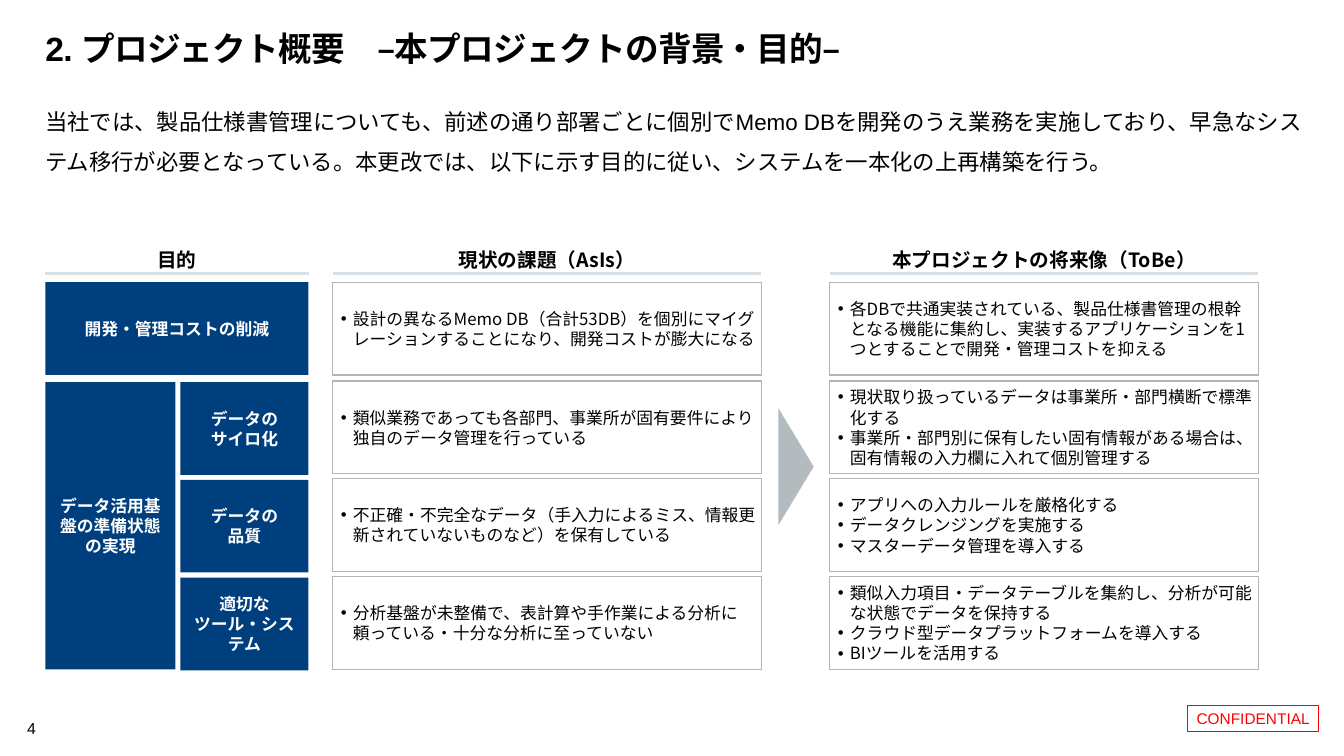
from lxml import etree
from pptx import Presentation
from pptx.dml.color import RGBColor
from pptx.enum.shapes import MSO_CONNECTOR, MSO_SHAPE
from pptx.enum.text import MSO_ANCHOR, MSO_AUTO_SIZE, PP_ALIGN
from pptx.oxml.ns import qn
from pptx.util import Inches, Pt

RECT, ARROW = MSO_SHAPE.RECTANGLE, MSO_SHAPE.RIGHT_ARROW
LINE = MSO_CONNECTOR.STRAIGHT
TOP, MIDDLE, BOTTOM = MSO_ANCHOR.TOP, MSO_ANCHOR.MIDDLE, MSO_ANCHOR.BOTTOM
LEFT, CENTER = PP_ALIGN.LEFT, PP_ALIGN.CENTER
GROW, FIXED = MSO_AUTO_SIZE.SHAPE_TO_FIT_TEXT, MSO_AUTO_SIZE.NONE
NOTO = "Noto Sans CJK JP"
NAVY, PALE, GRAY, EDGE = "003F7E", "D6E0E5", "B3BBBF", "B4B4B4"
BLACK, WHITE, RED = "000000", "FFFFFF", "FF0000"

ROW, STEP, TALL = 3.78, 0.97, 0.92
GOALS = [["データの", "サイロ化"], ["データの", "品質"], ["適切な", "ツール・システム"]]
ASIS = [
    ["設計の異なるMemo DB（合計53DB）を個別にマイグレーションすることになり、開発コストが膨大になる"],
    ["類似業務であっても各部門、事業所が固有要件により独自のデータ管理を行っている"],
    ["不正確・不完全なデータ（手入力によるミス、情報更新されていないものなど）を保有している"],
    ["分析基盤が未整備で、表計算や手作業による分析に頼っている・十分な分析に至っていない"],
]
TOBE = [
    ["各DBで共通実装されている、製品仕様書管理の根幹となる機能に集約し、"
     "実装するアプリケーションを1つとすることで開発・管理コストを抑える"],
    ["現状取り扱っているデータは事業所・部門横断で標準化する",
     "事業所・部門別に保有したい固有情報がある場合は、固有情報の入力欄に入れて個別管理する"],
    ["アプリへの入力ルールを厳格化する", "データクレンジングを実施する",
     "マスターデータ管理を導入する"],
    ["類似入力項目・データテーブルを集約し、分析が可能な状態でデータを保持する",
     "クラウド型データプラットフォームを導入する", "BIツールを活用する"],
]


def color(code):
    return RGBColor.from_string(code)


def apply(target, values):
    for name, value in values.items():
        setattr(target, name, value)


def write(shape, lines, size, tone=BLACK, bold=False, face=NOTO, align=CENTER,
          anchor=MIDDLE, pads=(0.1, 0.05, 0.1, 0.05), fit=FIXED, bullet=False,
          para={}, track=None):
    frame = shape.text_frame
    sides = ("margin_left", "margin_top", "margin_right", "margin_bottom")
    apply(frame, dict(zip(sides, map(Inches, pads))))
    apply(frame, {"word_wrap": True, "auto_size": fit, "vertical_anchor": anchor})
    for index, line in enumerate(lines):
        item = frame.add_paragraph() if index else frame.paragraphs[0]
        apply(item, {"alignment": align, **para})
        run = item.add_run()
        run.text = line
        apply(run.font, {"size": Pt(size), "bold": bold, "name": face})
        run.font.color.rgb = color(tone)
        props = run.font._element
        etree.SubElement(props, qn("a:ea")).set("typeface", NOTO)
        if track is not None:
            props.set("spc", str(track))
        if bullet:
            props = item._p.get_or_add_pPr()
            props.set("marL", str(Inches(0.12)))
            props.set("indent", str(-Inches(0.12)))
            etree.SubElement(props, qn("a:buFont")).set("typeface", "Arial")
            etree.SubElement(props, qn("a:buChar")).set("char", "•")


def label(slide, box, lines, size, **style):
    shape = slide.shapes.add_textbox(*map(Inches, box))
    write(shape, lines, size, **style)


def block(slide, box, fill=None, edge=None, width=1, kind=RECT):
    shape = slide.shapes.add_shape(kind, *map(Inches, box))
    shape.shadow.inherit = False
    if fill:
        shape.fill.solid()
        shape.fill.fore_color.rgb = color(fill)
    else:
        shape.fill.background()
    if edge:
        shape.line.color.rgb = color(edge)
        shape.line.width = Pt(width)
    else:
        shape.line.fill.background()
    return shape


def heading(slide, left, width, title):
    top = 2.41
    label(slide, (left, top, width, 0.29), [title], 14, bold=True,
          anchor=TOP, fit=GROW)
    level = top + 0.3
    rule = slide.shapes.add_connector(
        LINE, *map(Inches, (left, level, left + width, level)))
    rule.line.color.rgb = color(PALE)
    rule.line.width = Pt(2.25)
    etree.SubElement(rule._element.spPr, qn("a:effectLst"))


def goal(slide, box, lines):
    write(block(slide, box, NAVY), lines, 12, tone=WHITE, bold=True)


def goals(slide, left, width):
    heading(slide, left, width, "目的")
    goal(slide, (left, 2.8, width, TALL), ["開発・管理コストの削減"])
    top = ROW + 0.01
    goal(slide, (left, top, 1.29, 2.85), ["データ活用基盤の準備状態の実現"])
    for index, lines in enumerate(GOALS):
        goal(slide, (left + 1.34, top + index * STEP, 1.27, TALL), lines)


def column(slide, left, width, title, cells):
    heading(slide, left, width, title)
    for index, lines in enumerate(cells):
        top = ROW + (index - 1) * STEP if index else 2.8
        shape = block(slide, (left, top, width, TALL), WHITE, EDGE)
        write(shape, lines, 12, align=LEFT, bullet=True,
              pads=(0.08, 0.02, 0.03, 0.02))


def header(slide, left):
    style = {"face": "Arial", "align": LEFT, "pads": (0, 0, 0, 0)}
    label(slide, (left, 0.28, 10.2, 0.4),
          ["2. プロジェクト概要　–本プロジェクトの背景・目的–"], 24,
          bold=True, anchor=BOTTOM, track=-50, **style)
    label(slide, (left, 0.94, 12.63, 1.41),
          ["当社では、製品仕様書管理についても、前述の通り部署ごとに個別でMemo DBを"
           "開発のうえ業務を実施しており、早急なシステム移行が必要となっている。"
           "本更改では、以下に示す目的に従い、システムを一本化の上再構築を行う。"], 16,
          anchor=TOP, para={"line_spacing": 1.5, "space_before": Pt(10)}, **style)


def footer(slide, top):
    stamp = block(slide, (11.78, top, 1.3, 0.26), edge=RED, width=0.75)
    write(stamp, ["CONFIDENTIAL"], 11, tone=RED, face="Arial",
          pads=(0.04,) * 4, fit=GROW)
    label(slide, (0.27, top + 0.08, 0.38, 0.26), ["4"], 11.3, face="Arial",
          align=LEFT, anchor=TOP, pads=(0, 0.05, 0.1, 0.05))


def main():
    deck = Presentation()
    apply(deck, {"slide_width": Inches(13.33), "slide_height": Inches(7.5)})
    slide = deck.slides.add_slide(deck.slide_layouts[6])
    header(slide, 0.45)
    goals(slide, 0.45, 2.61)
    column(slide, 3.3, 4.25, "現状の課題（AsIs）", ASIS)
    arrow = block(slide, (7.72, 4.05, 0.35, 1.16), GRAY, kind=ARROW)
    arrow.adjustments[0], arrow.adjustments[1] = 0.5, 1
    column(slide, 8.23, 4.25, "本プロジェクトの将来像（ToBe）", TOBE)
    footer(slide, 7)
    deck.save("out.pptx")


if __name__ == "__main__":
    main()
